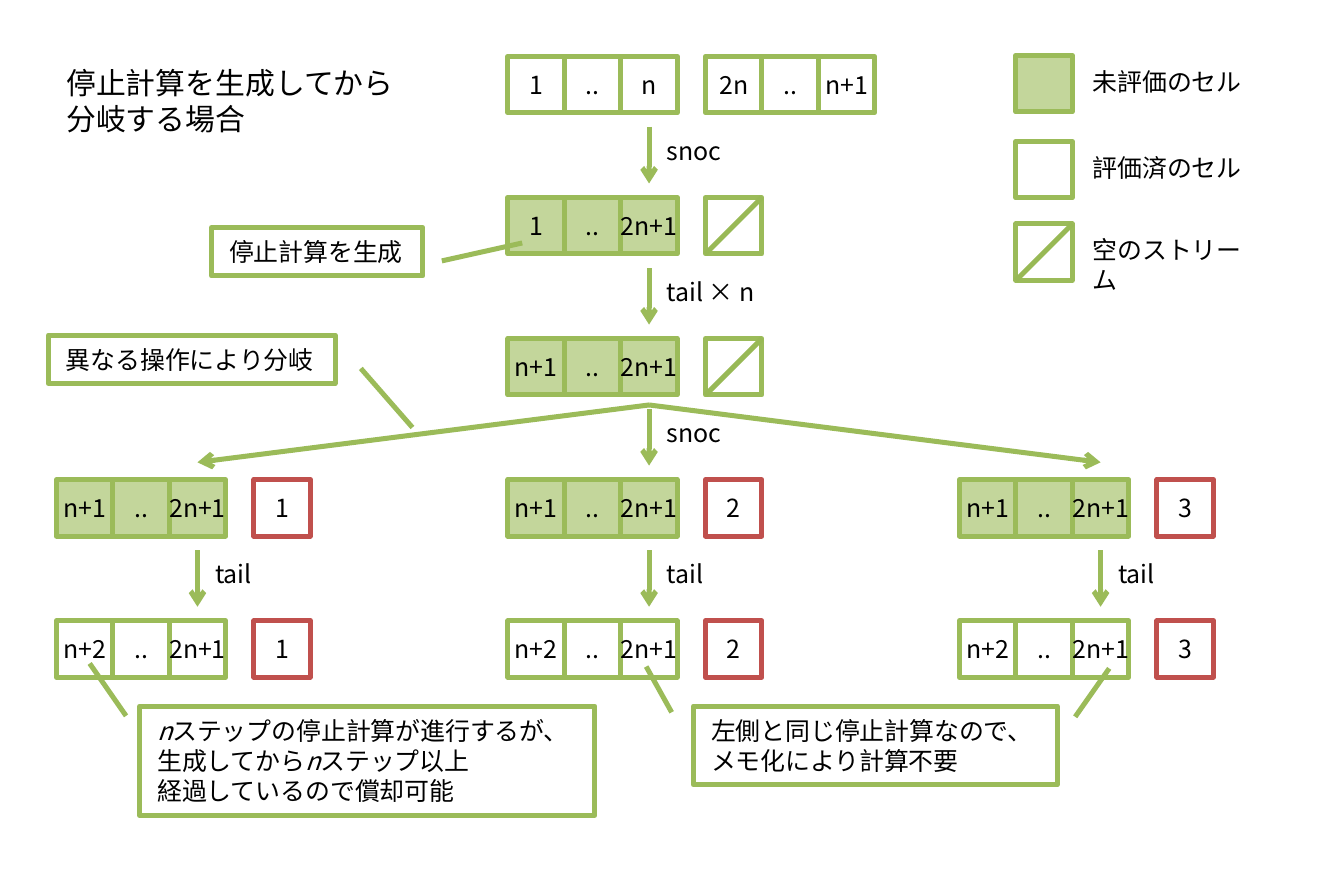
"""Draw how a lazy queue branches after its suspension has been created."""
from dataclasses import dataclass

from lxml import etree
from pptx import Presentation
from pptx.dml.color import RGBColor
from pptx.enum.shapes import MSO_CONNECTOR, MSO_SHAPE
from pptx.enum.text import MSO_ANCHOR, PP_ALIGN
from pptx.oxml.ns import qn
from pptx.util import Inches, Pt


@dataclass(frozen=True)
class Theme:
    font: str = "Noto Sans CJK JP"
    text: str = "000000"
    plain: str = "FFFFFF"
    pending: str = "C3D69B"
    green: str = "9BBB59"
    slash: str = "98B955"
    red: str = "C0504D"
    body_size: int = 10
    title_size: int = 12
    stroke: int = 2


THEME = Theme()
CELL = 8 / 25.4
ROW_PITCH = 2.5 * CELL
COLUMNS = [CELL * (1 + 8 * index) for index in range(3)]
MIDDLE = COLUMNS[1]
REAR_OFFSET = 3.5 * CELL
ARROW_OFFSET = 2.5 * CELL


def row_top(row):
    return CELL + row * ROW_PITCH


def box(left, top, width, height):
    return [Inches(value) for value in (left, top, width, height)]


def write(frame, lines, size=THEME.body_size, align=PP_ALIGN.LEFT, anchor=MSO_ANCHOR.TOP):
    """Fill a frame with lines; a line is a list of runs, and the run "n" is italic if it has neighbours."""
    frame.word_wrap = False
    frame.vertical_anchor = anchor
    for index, runs in enumerate(lines):
        paragraph = frame.paragraphs[0] if index == 0 else frame.add_paragraph()
        paragraph.alignment = align
        for text in runs:
            run = paragraph.add_run()
            run.text = text
            run.font.size = Pt(size)
            run.font.name = THEME.font
            run.font.italic = text == "n" and len(runs) > 1
            run.font.color.rgb = RGBColor.from_string(THEME.text)
            east_asian = etree.SubElement(run.font._element, qn("a:ea"))
            east_asian.set("typeface", THEME.font)


def paint(shape, fill, line):
    shape.shadow.inherit = False
    shape.fill.solid()
    shape.fill.fore_color.rgb = RGBColor.from_string(fill)
    shape.line.color.rgb = RGBColor.from_string(line)
    shape.line.width = Pt(THEME.stroke)


def add_cell(shapes, left, top, text="", fill=THEME.plain, line=THEME.green):
    cell = shapes.add_shape(MSO_SHAPE.RECTANGLE, *box(left, top, CELL, CELL))
    paint(cell, fill, line)
    if text:
        frame = cell.text_frame
        frame.margin_left = frame.margin_right = 0
        write(frame, [[text]], align=PP_ALIGN.CENTER, anchor=MSO_ANCHOR.MIDDLE)


def add_stream(shapes, left, row, texts, fill=THEME.plain):
    for index, text in enumerate(texts):
        add_cell(shapes, left + index * CELL, row_top(row), text, fill)


def add_line(shapes, start, end, color=THEME.green, arrow=False):
    points = [Inches(value) for value in (*start, *end)]
    line = shapes.add_connector(MSO_CONNECTOR.STRAIGHT, *points)
    line.line.color.rgb = RGBColor.from_string(color)
    line.line.width = Pt(THEME.stroke)
    if arrow:
        etree.SubElement(line.line._get_or_add_ln(), qn("a:tailEnd")).set("type", "arrow")
    etree.SubElement(line._element.spPr, qn("a:effectLst"))


def add_empty_stream(shapes, left, top):
    group = shapes.add_group_shape().shapes
    add_cell(group, left, top)
    add_line(group, (left, top + CELL), (left + CELL, top), THEME.slash)


def add_label(shapes, left, top, width, text):
    label = shapes.add_textbox(*box(left, top, width, 0.27))
    write(label.text_frame, [[text]])


def add_step(shapes, column, row, text, width=0.57):
    """Add the labelled arrow that leads down from a row."""
    x = column + ARROW_OFFSET
    top = row_top(row) + 1.25 * CELL
    add_line(shapes, (x, top), (x, top + CELL), arrow=True)
    add_label(shapes, x, top, width, text)


def add_callout(shapes, place, pointer, lines):
    callout = shapes.add_shape(MSO_SHAPE.LINE_CALLOUT_1, *box(*place))
    paint(callout, THEME.plain, THEME.green)
    for index, value in enumerate(pointer):
        callout.adjustments[index] = value
    write(callout.text_frame, lines, anchor=MSO_ANCHOR.MIDDLE)


def add_title(slide, lines):
    title = slide.shapes.title
    title.left, title.top, title.width, title.height = box(0.27, 0.31, 2.05, 0.5)
    write(title.text_frame, lines, THEME.title_size)


def add_legend(shapes):
    left = 18 * CELL
    tops = (0.31, 0.79, 1.25)
    add_cell(shapes, left, tops[0], fill=THEME.pending)
    add_cell(shapes, left, tops[1])
    add_empty_stream(shapes, left, tops[2])
    for top, text in zip(tops, ("未評価のセル", "評価済のセル", "空のストリーム")):
        add_label(shapes, 6, top + 0.01, 1.13, text)


def add_shared_history(shapes):
    rear = MIDDLE + REAR_OFFSET
    add_stream(shapes, MIDDLE, 0, ("1", "..", "n"))
    add_stream(shapes, rear, 0, ("2n", "..", "n+1"))
    for row, first in ((1, "1"), (2, "n+1")):
        add_stream(shapes, MIDDLE, row, (first, "..", "2n+1"), THEME.pending)
        add_empty_stream(shapes, rear, row_top(row))
    add_step(shapes, MIDDLE, 0, "snoc")
    add_step(shapes, MIDDLE, 1, "tail × n", 0.99)
    add_step(shapes, MIDDLE, 2, "snoc")


def add_branches(shapes):
    for number, left in enumerate(COLUMNS, 1):
        for row, first, fill in ((3, "n+1", THEME.pending), (4, "n+2", THEME.plain)):
            add_stream(shapes, left, row, (first, "..", "2n+1"), fill)
            add_cell(shapes, left + REAR_OFFSET, row_top(row), str(number), line=THEME.red)
        add_step(shapes, left, 3, "tail")
        if left != MIDDLE:
            add_line(shapes, (MIDDLE + ARROW_OFFSET, 2.26), (left + ARROW_OFFSET, 2.58), arrow=True)


def add_remarks(shapes):
    add_callout(shapes, (1.18, 1.27, 1.18, 0.27), (0.69, 1.09, 0.32, 1.47), [["停止計算を生成"]])
    add_callout(shapes, (0.27, 1.87, 1.6, 0.27), (0.69, 1.09, 1.91, 1.27),
                [["異なる操作により分岐"]])
    add_callout(shapes, (0.78, 3.94, 2.54, 0.61), (0.09, -0.03, -0.39, -0.11),
                [["n", "ステップの停止計算が進行するが、"],
                 ["生成してから", "n", "ステップ以上"],
                 ["経過しているので償却可能"]])
    add_callout(shapes, (3.87, 3.94, 2.03, 0.44), (0.08, -0.06, -0.5, -0.13),
                [["左側と同じ停止計算なので、"], ["メモ化により計算不要"]])
    add_line(shapes, (6.19, 3.73), (6, 4))


def main():
    deck = Presentation()
    deck.slide_width, deck.slide_height = Inches(7.5), Inches(5)
    slide = deck.slides.add_slide(deck.slide_layouts[5])
    add_title(slide, [["停止計算を生成してから"], ["分岐する場合"]])
    add_legend(slide.shapes)
    add_shared_history(slide.shapes)
    add_branches(slide.shapes)
    add_remarks(slide.shapes)
    deck.save("out.pptx")


main()
